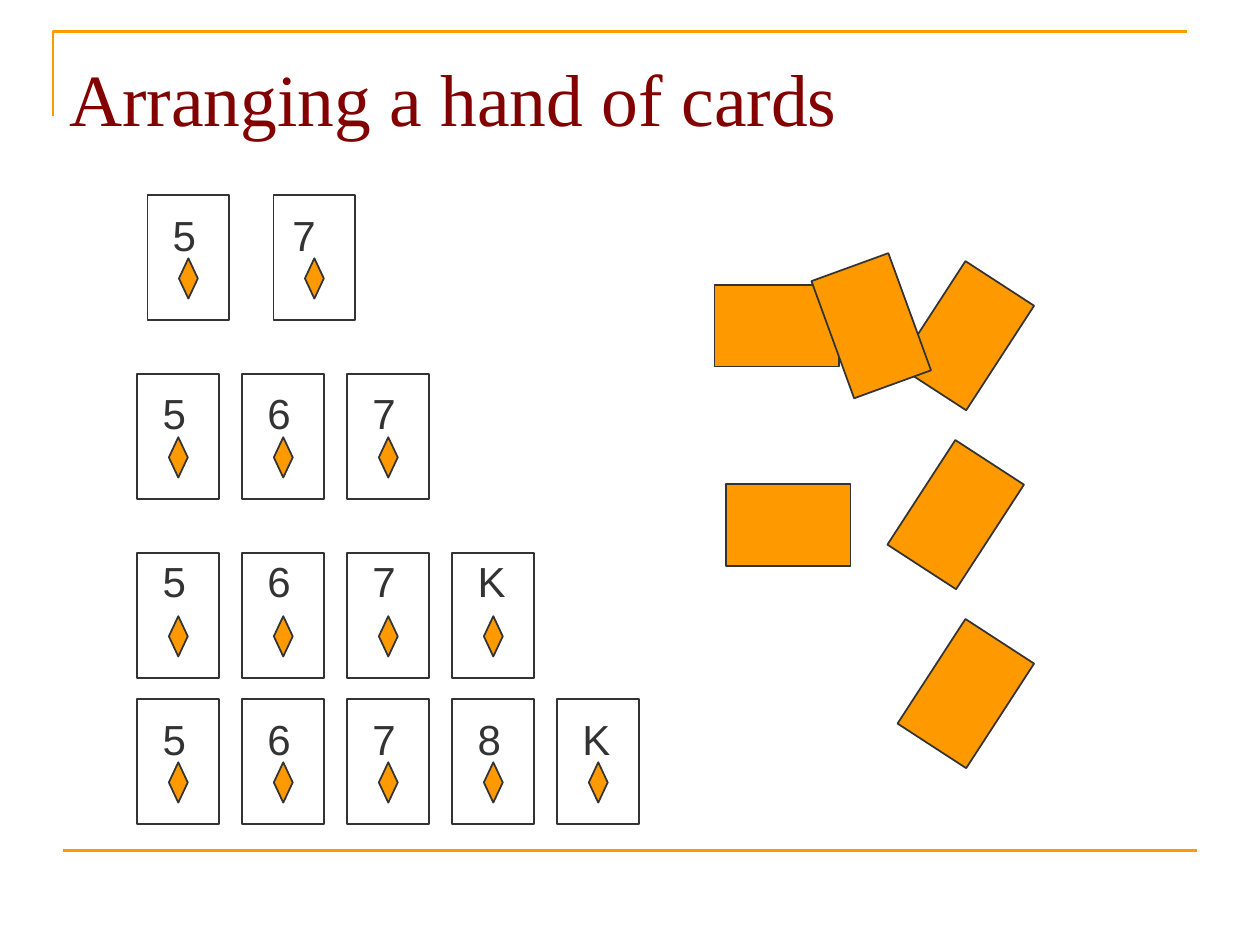
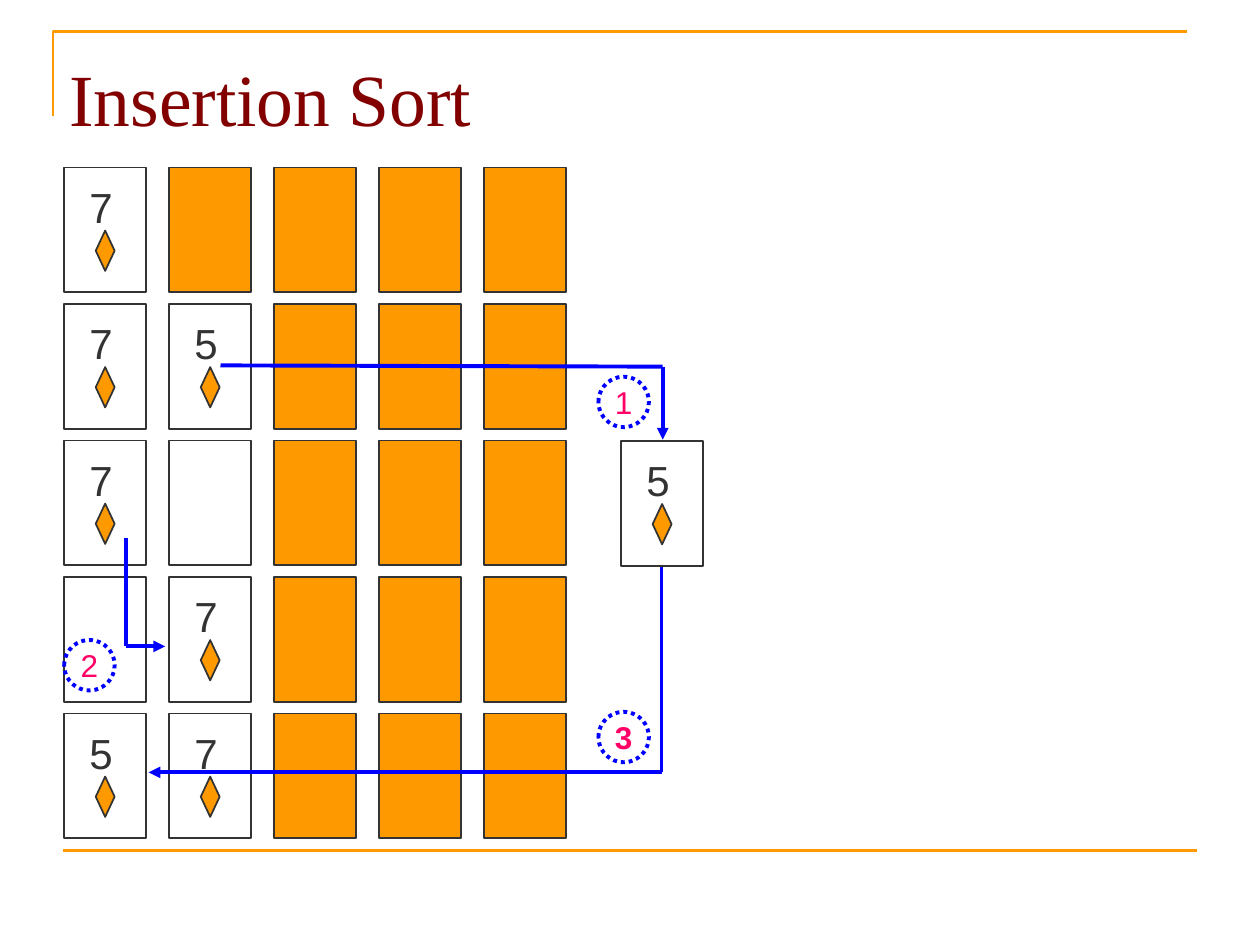
from dataclasses import dataclass
from itertools import pairwise

from lxml.etree import SubElement
from pptx import Presentation
from pptx.dml.color import RGBColor
from pptx.enum.dml import MSO_LINE
from pptx.enum.shapes import MSO_CONNECTOR, MSO_SHAPE
from pptx.enum.text import MSO_ANCHOR, MSO_AUTO_SIZE, PP_ALIGN
from pptx.oxml.ns import qn
from pptx.util import Inches, Pt

CARD_WIDTH, CARD_HEIGHT = 0.65, 0.99
COLUMN_PITCH = 5 / 6
TITLE_ONLY_LAYOUT = 5
FACE_DOWN, EMPTY = "#", " "


@dataclass(frozen=True)
class Theme:
    title_color: RGBColor = RGBColor(0x82, 0x00, 0x00)
    accent: RGBColor = RGBColor(0xFF, 0x99, 0x00)
    ink: RGBColor = RGBColor(0x33, 0x33, 0x33)
    move: RGBColor = RGBColor(0x00, 0x00, 0xFF)
    step: RGBColor = RGBColor(0xFF, 0x00, 0x66)
    title_font: str = "Times New Roman"
    body_font: str = "Arial"
    title_size: int = 42
    card_size: int = 24
    step_size: int = 18
    outline: float = 1
    frame_line: float = 1.5
    move_line: float = 2.25


class CardDeck:
    """Draws card slides in one theme, always on the newest slide."""

    def __init__(self, theme):
        self.theme = theme
        self.presentation = Presentation()
        self.presentation.slide_width = Inches(10)
        self.presentation.slide_height = Inches(7.5)
        self.slide = None

    def add_slide(self, title):
        layout = self.presentation.slide_layouts[TITLE_ONLY_LAYOUT]
        self.slide = self.presentation.slides.add_slide(layout)
        self.frame()
        self.title(title)

    def frame(self):
        """Corner rule around the title and rule at the foot."""
        builder = self.slide.shapes.build_freeform(Inches(0.42), Inches(0.92))
        builder.add_line_segments(
            [(Inches(0.42), Inches(0.25)), (Inches(9.42), Inches(0.25))], close=False)
        corner = builder.convert_to_shape()
        self.paint(corner, None, self.theme.accent, self.theme.frame_line)
        self.line((0.5, 6.75), (9.5, 6.75), self.theme.accent, self.theme.frame_line)

    def title(self, text):
        shape = self.slide.shapes.title
        shape.left, shape.top = Inches(0.5), Inches(0.3)
        shape.width, shape.height = Inches(9), Inches(1.03)
        self.set_text(shape, text, self.theme.title_font, self.theme.title_size,
                      self.theme.title_color)
        frame = shape.text_frame
        frame.word_wrap = True
        frame.auto_size = MSO_AUTO_SIZE.NONE
        frame.margin_top = Inches(0.12)

    def set_text(self, shape, text, font, size, color, align=PP_ALIGN.LEFT,
                 anchor=MSO_ANCHOR.TOP, bold=False):
        frame = shape.text_frame
        frame.margin_left = frame.margin_right = Inches(0.05)
        frame.margin_top = frame.margin_bottom = Inches(0.05)
        frame.vertical_anchor = anchor
        frame.word_wrap = False
        paragraph = frame.paragraphs[0]
        paragraph.text = text
        paragraph.alignment = align
        paragraph.font.name = font
        paragraph.font.size = Pt(size)
        paragraph.font.bold = bold
        paragraph.font.color.rgb = color

    def paint(self, shape, fill, line, width):
        shape.shadow.inherit = False
        if fill is None:
            shape.fill.background()
        else:
            shape.fill.solid()
            shape.fill.fore_color.rgb = fill
        shape.line.color.rgb = line
        shape.line.width = Pt(width)

    def shape(self, kind, left, top, width, height, fill=None):
        shape = self.slide.shapes.add_shape(
            kind, Inches(left), Inches(top), Inches(width), Inches(height))
        self.paint(shape, fill, self.theme.ink, self.theme.outline)
        return shape

    def card(self, left, top, face, rotation=0, label_left=0.15, label_top=0.06):
        """One card: a rank, FACE_DOWN for its back, or EMPTY for a free place."""
        back = self.theme.accent if face == FACE_DOWN else None
        card = self.shape(MSO_SHAPE.RECTANGLE, left, top, CARD_WIDTH, CARD_HEIGHT, back)
        card.rotation = rotation
        if face in (FACE_DOWN, EMPTY):
            return
        self.shape(MSO_SHAPE.DIAMOND, left + 0.25, top + 0.5, 0.15, 0.32,
                   self.theme.accent)
        label = self.slide.shapes.add_textbox(
            Inches(left + label_left), Inches(top + label_top),
            Inches(0.33 if face == "K" else 0.3), Inches(0.48))
        self.set_text(label, face, self.theme.body_font, self.theme.card_size,
                      self.theme.ink)

    def card_row(self, left, top, faces, **label_offset):
        for column, face in enumerate(faces):
            self.card(left + column * COLUMN_PITCH, top, face, **label_offset)

    def line(self, start, end, color, width, arrow=False):
        connector = self.slide.shapes.add_connector(
            MSO_CONNECTOR.STRAIGHT, *map(Inches, start + end))
        connector.line.color.rgb = color
        connector.line.width = Pt(width)
        properties = connector._element.spPr
        if arrow:
            SubElement(properties.find(qn("a:ln")), qn("a:tailEnd"), type="triangle")
        SubElement(properties, qn("a:effectLst"))

    def move(self, *points):
        """Bent path of a card, with an arrowhead at its last point."""
        for start, end in pairwise(points):
            self.line(start, end, self.theme.move, self.theme.move_line,
                      arrow=end == points[-1])

    def step(self, left, top, number, bold=False):
        circle = self.shape(MSO_SHAPE.OVAL, left, top, 0.4, 0.4)
        self.paint(circle, None, self.theme.move, self.theme.move_line)
        circle.line.dash_style = MSO_LINE.ROUND_DOT
        self.set_text(circle, number, self.theme.body_font, self.theme.step_size,
                      self.theme.step, PP_ALIGN.CENTER, MSO_ANCHOR.MIDDLE, bold)


def build_hand_slide(deck):
    deck.add_slide("Arranging a hand of cards")
    table_cards = [
        (5.84, 2.09, 90), (7.34, 2.17, 33), (6.59, 2.09, 340),
        (5.93, 3.67, 90), (7.26, 3.59, 33),
        (7.34, 5.01, 33),
    ]
    for left, top, rotation in table_cards:
        deck.card(left, top, FACE_DOWN, rotation)
    deck.card(1.17, 1.55, "5")
    deck.card(2.17, 1.55, "7", label_left=0.1)
    deck.card_row(1.09, 2.97, "567")
    deck.card_row(1.09, 4.39, "567K", label_top=-0.03)
    deck.card_row(1.09, 5.55, "5678K")


def build_sort_slide(deck):
    deck.add_slide("Insertion Sort")
    row_pitch = 13 / 12
    for row, faces in enumerate(["7####", "75###", "7 ###", " 7###", "57###"]):
        deck.card_row(0.51, 1.33 + row * row_pitch, faces)
    deck.card(4.93, 3.5, "5")

    deck.move((1.75, 2.9), (5.26, 2.91), (5.26, 3.49))
    deck.move((1, 4.27), (1, 5.13), (1.31, 5.13))
    deck.move((5.25, 4.5), (5.25, 6.13), (1.18, 6.13))
    deck.step(4.75, 2.99, "1")
    deck.step(0.51, 5.08, "2")
    deck.step(4.75, 5.65, "3", bold=True)


def main():
    deck = CardDeck(Theme())
    build_hand_slide(deck)
    build_sort_slide(deck)
    deck.presentation.save("out.pptx")


if __name__ == "__main__":
    main()
